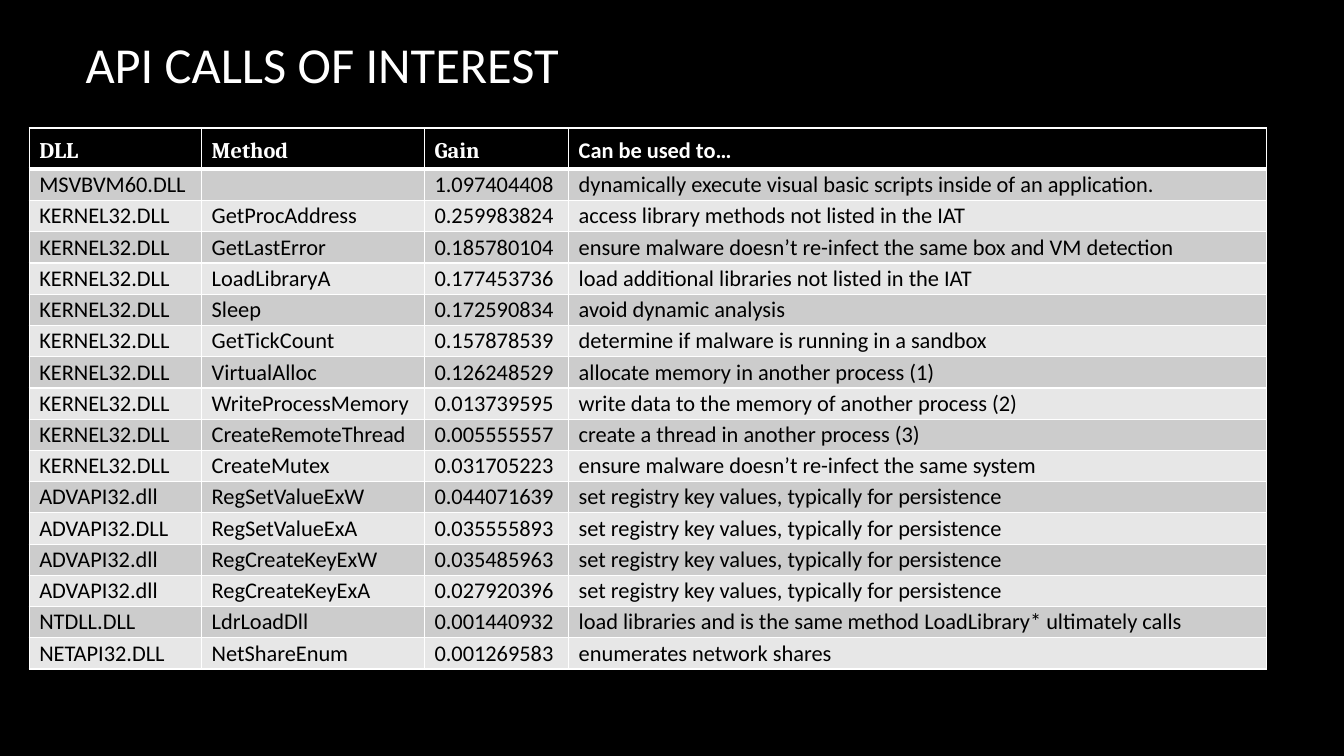
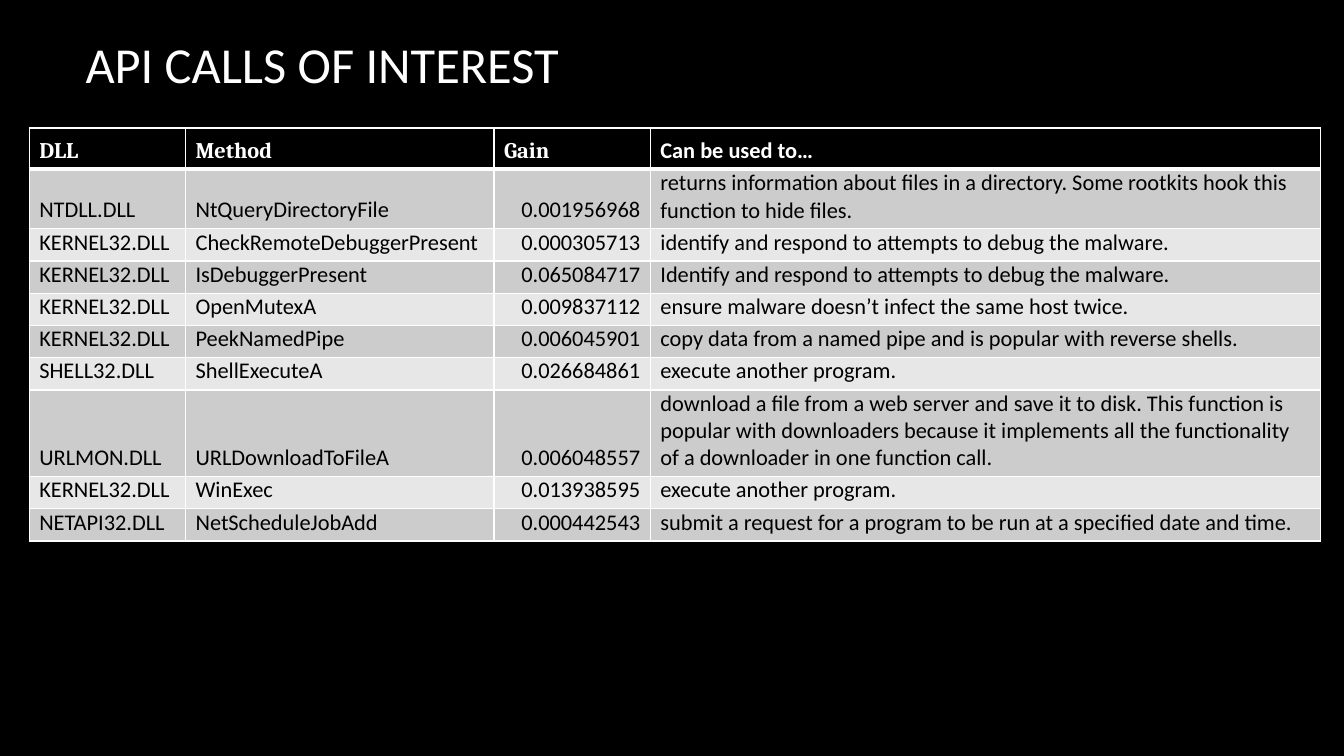
from lxml.etree import SubElement
from pptx import Presentation
from pptx.dml.color import RGBColor
from pptx.enum.text import MSO_ANCHOR, PP_ALIGN
from pptx.oxml.ns import qn
from pptx.util import Inches, Pt

BLACK = RGBColor(0x00, 0x00, 0x00)
WHITE = RGBColor(0xFF, 0xFF, 0xFF)
DARK_BAND = RGBColor(0xCC, 0xCC, 0xCC)
LIGHT_BAND = RGBColor(0xE7, 0xE7, 0xE7)
BODY_FONT = "Calibri"
HEAD_FONT = "Cambria"
TEXT_SIZE = Pt(16)
TITLE = "API CALLS OF INTEREST"
HEADINGS = ("DLL", "Method", "Gain", "Can be used to…")
HEAD_HEIGHT = 0.41
GAIN_COLUMN = 2
PERSISTENCE = "set registry key values, typically for persistence"

LOADING_CALLS = [
    ("MSVBVM60.DLL", "", "1.097404408",
     "dynamically execute visual basic scripts inside of an application."),
    ("KERNEL32.DLL", "GetProcAddress", "0.259983824",
     "access library methods not listed in the IAT"),
    ("KERNEL32.DLL", "GetLastError", "0.185780104",
     "ensure malware doesn’t re-infect the same box and VM detection"),
    ("KERNEL32.DLL", "LoadLibraryA", "0.177453736",
     "load additional libraries not listed in the IAT"),
    ("KERNEL32.DLL", "Sleep", "0.172590834", "avoid dynamic analysis"),
    ("KERNEL32.DLL", "GetTickCount", "0.157878539",
     "determine if malware is running in a sandbox"),
    ("KERNEL32.DLL", "VirtualAlloc", "0.126248529",
     "allocate memory in another process (1)"),
    ("KERNEL32.DLL", "WriteProcessMemory", "0.013739595",
     "write data to the memory of another process (2)"),
    ("KERNEL32.DLL", "CreateRemoteThread", "0.005555557",
     "create a thread in another process (3)"),
    ("KERNEL32.DLL", "CreateMutex", "0.031705223",
     "ensure malware doesn’t re-infect the same system"),
    ("ADVAPI32.dll", "RegSetValueExW", "0.044071639", PERSISTENCE),
    ("ADVAPI32.DLL", "RegSetValueExA", "0.035555893", PERSISTENCE),
    ("ADVAPI32.dll", "RegCreateKeyExW", "0.035485963", PERSISTENCE),
    ("ADVAPI32.dll", "RegCreateKeyExA", "0.027920396", PERSISTENCE),
    ("NTDLL.DLL", "LdrLoadDll", "0.001440932",
     "load libraries and is the same method LoadLibrary* ultimately calls"),
    ("NETAPI32.DLL", "NetShareEnum", "0.001269583",
     "enumerates network shares"),
]

EVASION_CALLS = [
    ("NTDLL.DLL", "NtQueryDirectoryFile", "0.001956968",
     "returns information about files in a directory. Some rootkits hook "
     "this function to hide files."),
    ("KERNEL32.DLL", "CheckRemoteDebuggerPresent", "0.000305713",
     "identify and respond to attempts to debug the malware."),
    ("KERNEL32.DLL", "IsDebuggerPresent", "0.065084717",
     "Identify and respond to attempts to debug the malware."),
    ("KERNEL32.DLL", "OpenMutexA", "0.009837112",
     "ensure malware doesn’t infect the same host twice."),
    ("KERNEL32.DLL", "PeekNamedPipe", "0.006045901",
     "copy data from a named pipe and is popular with reverse shells."),
    ("SHELL32.DLL", "ShellExecuteA", "0.026684861",
     "execute another program."),
    ("URLMON.DLL", "URLDownloadToFileA", "0.006048557",
     "download a file from a web server and save it to disk. This function "
     "is popular with downloaders because it implements all the "
     "functionality of a downloader in one function call."),
    ("KERNEL32.DLL", "WinExec", "0.013938595", "execute another program."),
    ("NETAPI32.DLL", "NetScheduleJobAdd", "0.000442543",
     "submit a request for a program to be run at a specified date and time."),
]


def add_run(p, text, size, color, font=BODY_FONT, bold=False):
    """Add one styled run to a paragraph."""
    r = p.add_run()
    r.text = text
    r.font.size = size
    r.font.name = font
    r.font.bold = bold
    r.font.color.rgb = color


def add_title(s):
    """Add the slide title."""
    sp = s.shapes.add_textbox(Inches(0.75), Inches(0.19),
                              Inches(11.08), Inches(0.88))
    tf = sp.text_frame
    tf.word_wrap = True
    tf.vertical_anchor = MSO_ANCHOR.MIDDLE
    add_run(tf.paragraphs[0], TITLE, Pt(36), WHITE)


def set_borders(cell, bottom):
    """Draw white cell borders, with the bottom width given in points."""
    tcPr = cell._tc.get_or_add_tcPr()
    for side, width in (("L", 1), ("R", 1), ("T", 1), ("B", bottom)):
        ln = SubElement(tcPr, qn(f"a:ln{side}"), w=str(Pt(width)))
        fill = SubElement(ln, qn("a:solidFill"))
        SubElement(fill, qn("a:srgbClr"), val=str(WHITE))


def style_cell(cell, fill, insets, bottom=1):
    """Set borders, fill, anchor and vertical insets of a cell."""
    set_borders(cell, bottom)
    cell.fill.solid()
    cell.fill.fore_color.rgb = fill
    cell.vertical_anchor = MSO_ANCHOR.BOTTOM
    cell.margin_left = cell.margin_right = Inches(0.1)
    cell.margin_top, cell.margin_bottom = map(Inches, insets)


def fill_header(table):
    """Write the heading row."""
    for cell, text in zip(table.rows[0].cells, HEADINGS):
        style_cell(cell, BLACK, (0, 0.05), bottom=3)
        font = BODY_FONT if text == HEADINGS[-1] else HEAD_FONT
        add_run(cell.text_frame.paragraphs[0], text, TEXT_SIZE, WHITE,
                font, bold=True)


def fill_body(table, calls, insets, gain_align):
    """Write the banded rows of API calls."""
    for i, call in enumerate(calls):
        band = LIGHT_BAND if i % 2 else DARK_BAND
        for j, text in enumerate(call):
            cell = table.cell(i + 1, j)
            style_cell(cell, band, insets)
            p = cell.text_frame.paragraphs[0]
            if j == GAIN_COLUMN:
                p.alignment = gain_align
            if text:
                add_run(p, text, TEXT_SIZE, BLACK)
            else:
                SubElement(p._p, qn("a:endParaRPr"), sz="1600")


def add_calls_table(s, calls, widths, row_height, insets,
                    gain_align=PP_ALIGN.LEFT, tall_rows=None):
    """Add a table of API calls; tall_rows maps row numbers to heights."""
    heights = [HEAD_HEIGHT] + [row_height] * len(calls)
    for row, height in (tall_rows or {}).items():
        heights[row] = height
    frame = s.shapes.add_table(len(heights), len(widths),
                               Inches(0.29), Inches(1.27),
                               Inches(sum(widths)), Inches(sum(heights)))
    table = frame.table
    table.horz_banding = False
    for column, width in zip(table.columns, widths):
        column.width = Inches(width)
    for row, height in zip(table.rows, heights):
        row.height = Inches(height)
    fill_header(table)
    fill_body(table, calls, insets, gain_align)


def add_slide(prs):
    """Add a blank slide with the shared title."""
    s = prs.slides.add_slide(prs.slide_layouts[6])
    add_title(s)
    return s


def main():
    """Build the deck."""
    prs = Presentation()
    prs.slide_width, prs.slide_height = Inches(13.33), Inches(7.5)
    background = prs.slide_master.background.fill
    background.solid()
    background.fore_color.rgb = BLACK

    add_calls_table(add_slide(prs), LOADING_CALLS, (1.71, 2.21, 1.43, 6.92),
                    row_height=0.31, insets=(0.02, 0.02))
    add_calls_table(add_slide(prs), EVASION_CALLS, (1.55, 3.06, 1.55, 6.65),
                    row_height=0.32, insets=(0, 0.05),
                    gain_align=PP_ALIGN.RIGHT, tall_rows={1: 0.59, 7: 0.86})
    prs.save("out.pptx")


main()
